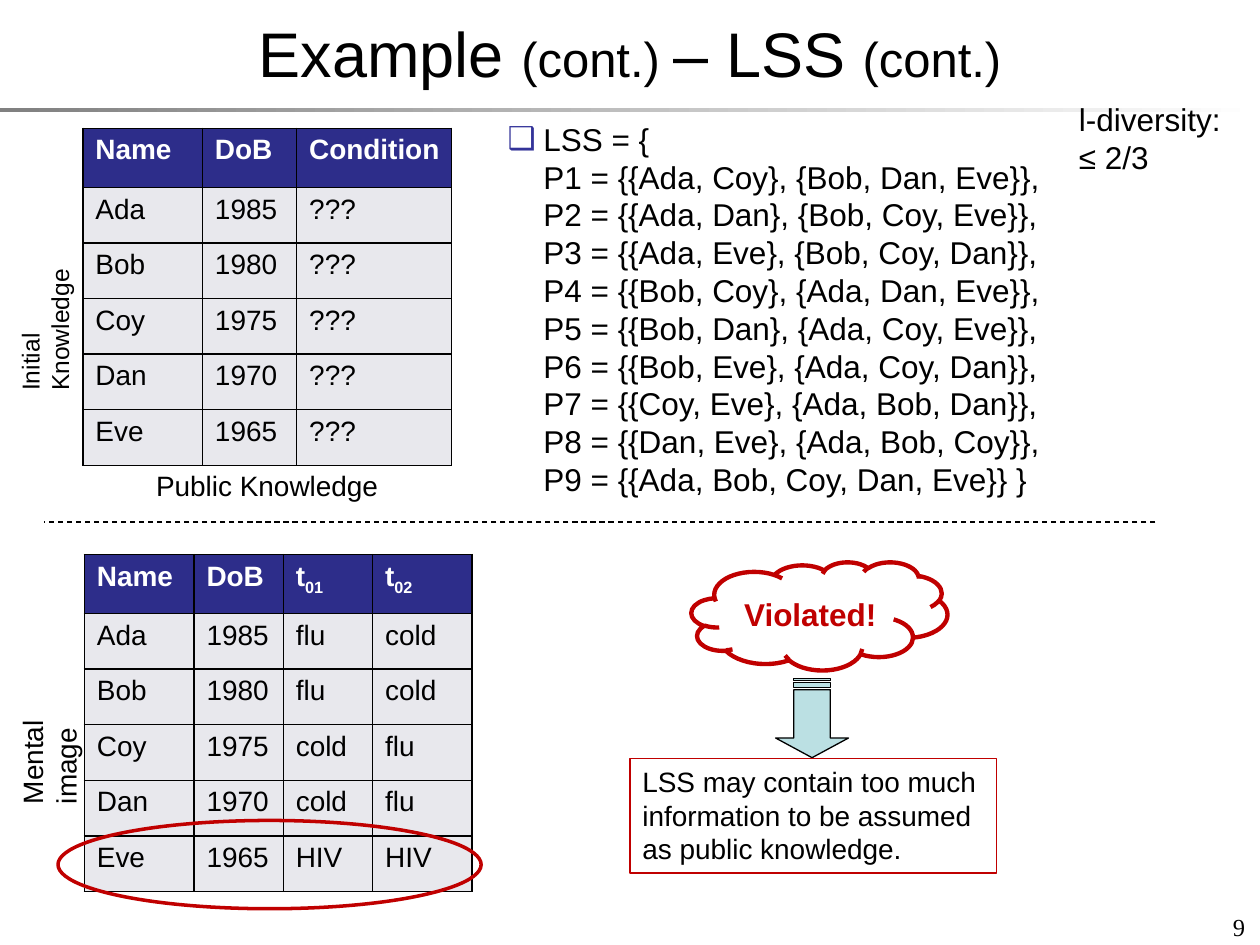
from lxml import etree
from pptx import Presentation
from pptx.dml.color import RGBColor
from pptx.enum.dml import MSO_LINE
from pptx.enum.shapes import MSO_CONNECTOR, MSO_SHAPE
from pptx.enum.text import MSO_ANCHOR, MSO_AUTO_SIZE, PP_ALIGN
from pptx.oxml.ns import qn
from pptx.util import Cm, Pt

DASH = MSO_LINE.DASH
STRAIGHT = MSO_CONNECTOR.STRAIGHT
RECTANGLE, OVAL, CLOUD = MSO_SHAPE.RECTANGLE, MSO_SHAPE.OVAL, MSO_SHAPE.CLOUD
STRIPED_ARROW = MSO_SHAPE.STRIPED_RIGHT_ARROW
TOP, MIDDLE = MSO_ANCHOR.TOP, MSO_ANCHOR.MIDDLE
LEFT, CENTER, RIGHT = PP_ALIGN.LEFT, PP_ALIGN.CENTER, PP_ALIGN.RIGHT
NO_AUTOFIT = MSO_AUTO_SIZE.NONE

COLORS = {
    "text": "000000", "white": "FFFFFF", "gray": "808080", "header": "2D2D8A",
    "cell": "E8E8ED", "bullet": "333399", "alert": "C00000", "arrow": "BBE0E3",
}
PEOPLE = [("Ada", "1985"), ("Bob", "1980"), ("Coy", "1975"), ("Dan", "1970"), ("Eve", "1965")]
HEADER_HEIGHT, ROW_HEIGHT = 1.19, 1.12


def rgb(name):
    return RGBColor.from_string(COLORS[name])


def add_text(paragraph, text, size=16, color="text", bold=False, font="Arial",
             align=LEFT, subscript=False):
    paragraph.alignment = align
    run = paragraph.add_run()
    run.text = text
    run.font.size = Pt(size)
    run.font.bold = bold
    run.font.name = font
    run.font.color.rgb = rgb(color)
    if subscript:
        run.font._element.set("baseline", "-25000")


def add_textbox(slide, box, lines, vertical=False, anchor=TOP, **text_format):
    textbox = slide.shapes.add_textbox(*map(Cm, box))
    frame = textbox.text_frame
    frame.word_wrap = True
    frame.vertical_anchor = anchor
    if vertical:
        frame._txBody.bodyPr.set("vert", "vert270")
    for index, line in enumerate(lines):
        paragraph = frame.add_paragraph() if index else frame.paragraphs[0]
        add_text(paragraph, line, **text_format)
    return textbox


def add_figure(slide, kind, box, line=None, width=1, fill=None):
    shape = slide.shapes.add_shape(kind, *map(Cm, box))
    shape.shadow.inherit = False
    if fill:
        shape.fill.solid()
        shape.fill.fore_color.rgb = rgb(fill)
    else:
        shape.fill.background()
    if line:
        shape.line.color.rgb = rgb(line)
        shape.line.width = Pt(width)
    else:
        shape.line.fill.background()
    return shape


def set_borders(cell, visible_sides):
    properties = cell._tc.get_or_add_tcPr()
    for side in "LRTB":
        border = etree.SubElement(properties, qn(f"a:ln{side}"), w="12700")
        if side in visible_sides:
            fill = etree.SubElement(border, qn("a:solidFill"))
            etree.SubElement(fill, qn("a:srgbClr"), val=COLORS["text"])
        else:
            etree.SubElement(border, qn("a:noFill"))


def add_grid(slide, left, top, widths, rows, caption=None):
    heights = [HEADER_HEIGHT] + [ROW_HEIGHT] * (len(rows) - 1)
    if caption:
        heights.append(0.74)
    table = slide.shapes.add_table(len(heights), len(widths), Cm(left), Cm(top),
                                   Cm(sum(widths)), Cm(sum(heights))).table
    table.first_row = table.horz_banding = False
    for column, width in zip(table.columns, widths):
        column.width = Cm(width)
    for row, height in zip(table.rows, heights):
        row.height = Cm(height)
    for row_index, values in enumerate(rows):
        is_header = row_index == 0
        for column_index, value in enumerate(values):
            cell = table.cell(row_index, column_index)
            cell.margin_right = Cm(0.15)
            set_borders(cell, "LRTB")
            cell.fill.solid()
            cell.fill.fore_color.rgb = rgb("header" if is_header else "cell")
            base, _, index = value.partition("_")
            style = {"color": "white" if is_header else "text", "bold": is_header}
            add_text(cell.text_frame.paragraphs[0], base, **style)
            if index:
                add_text(cell.text_frame.paragraphs[0], index, subscript=True, **style)
    if caption:
        last = len(rows)
        for column_index in range(len(widths)):
            cell = table.cell(last, column_index)
            set_borders(cell, "T")
            cell.fill.background()
        cell = table.cell(last, 0)
        cell.merge(table.cell(last, len(widths) - 1))
        cell.vertical_anchor = MIDDLE
        add_text(cell.text_frame.paragraphs[0], caption, align=CENTER)


def place(shape, box):
    shape.left, shape.top, shape.width, shape.height = map(Cm, box)


def build_title(slide, box):
    left, top, width, height = box
    title = slide.shapes.title
    place(title, box)
    title.text_frame.vertical_anchor = MIDDLE
    title.text_frame.auto_size = NO_AUTOFIT
    for text, size in [("Example ", 36), ("(cont.) ", 28), ("– LSS ", 36), ("(cont.)", 28)]:
        add_text(title.text_frame.paragraphs[0], text, size=size, align=CENTER)
    bar = add_figure(slide, RECTANGLE, (left, top + height + 0.08, width, 0.08))
    bar.fill.gradient()
    bar.fill.gradient_angle = 0
    for stop, color in zip(bar.fill.gradient_stops, ("gray", "white")):
        stop.color.rgb = rgb(color)


def build_partitions(slide, box):
    body = slide.placeholders[1]
    place(body, box)
    frame = body.text_frame
    frame.auto_size = NO_AUTOFIT
    pairs = ["Ada, Coy}, {Bob, Dan, Eve", "Ada, Dan}, {Bob, Coy, Eve",
             "Ada, Eve}, {Bob, Coy, Dan", "Bob, Coy}, {Ada, Dan, Eve",
             "Bob, Dan}, {Ada, Coy, Eve", "Bob, Eve}, {Ada, Coy, Dan",
             "Coy, Eve}, {Ada, Bob, Dan", "Dan, Eve}, {Ada, Bob, Coy"]
    lines = ["LSS = {"]
    lines += [f"P{number} = {{{{{pair}}}}}," for number, pair in enumerate(pairs, 1)]
    lines.append("P9 = {{Ada, Bob, Coy, Dan, Eve}} }")
    for index, line in enumerate(lines):
        paragraph = frame.add_paragraph() if index else frame.paragraphs[0]
        add_text(paragraph, line, size=18)
        paragraph.space_before = Pt(0)
        properties = paragraph._p.get_or_add_pPr()
        properties.set("marL", str(Cm(1.4)))
        properties.set("indent", str(0 if index else Cm(-0.72)))
        if index:
            etree.SubElement(properties, qn("a:buNone"))
        else:
            color = etree.SubElement(properties, qn("a:buClr"))
            etree.SubElement(color, qn("a:srgbClr"), val=COLORS["bullet"])
            etree.SubElement(properties, qn("a:buChar"), char="❑")


def build_public_knowledge(slide, left, top):
    rows = [("Name", "DoB", "Condition")] + [(*person, "???") for person in PEOPLE]
    add_grid(slide, left + 1.49, top, [2.41, 1.9, 3.12], rows, "Public Knowledge")
    add_textbox(slide, (left, top + 1.35, 1.12, 4.19), ["Initial Knowledge"],
                vertical=True, size=14)


def build_mental_image(slide, left, top):
    conditions = [("flu", "cold")] * 2 + [("cold", "flu")] * 2 + [("HIV", "HIV")]
    rows = [("Name", "DoB", "t_01", "t_02")]
    rows += [person + condition for person, condition in zip(PEOPLE, conditions)]
    add_grid(slide, left + 1.52, top, [2.21, 1.8, 1.8, 2.01], rows)
    add_textbox(slide, (left, top + 1.52, 1.19, 3.76), ["Mental image"], vertical=True)
    add_figure(slide, OVAL, (left + 0.99, top + 5.36, 8.53, 1.78), "alert", 2)


def build_conclusion(slide, left, top):
    cloud = add_figure(slide, CLOUD, (left + 1.24, top, 5.16, 2.18), "alert", 2.5)
    cloud.text_frame.vertical_anchor = MIDDLE
    add_text(cloud.text_frame.paragraphs[0], "Violated!", size=18, color="alert",
             bold=True, align=CENTER)
    arrow = add_figure(slide, STRIPED_ARROW, (left + 2.87, top + 2.41, 1.6, 1.47),
                       "text", 0.75, "arrow")
    arrow.adjustments[0], arrow.adjustments[1] = 0.5, 0.27
    arrow.rotation = 90
    note = add_figure(slide, RECTANGLE, (left, top + 3.96, 7.39, 2.31), "alert")
    note.text_frame.word_wrap = True
    note.text_frame.vertical_anchor = TOP
    add_text(note.text_frame.paragraphs[0],
             "LSS may contain too much information to be assumed as public knowledge.")


def build_divider(slide, left, top, width):
    divider = slide.shapes.add_connector(STRAIGHT, Cm(left + width), Cm(top), Cm(left), Cm(top))
    divider.line.color.rgb = rgb("text")
    divider.line.width = Pt(0.75)
    divider.line.dash_style = DASH
    etree.SubElement(divider._element.spPr, qn("a:effectLst"))


def main():
    presentation = Presentation()
    presentation.slide_width, presentation.slide_height = Cm(25.4), Cm(19.05)
    slide = presentation.slides.add_slide(presentation.slide_layouts[1])
    build_title(slide, (0, 0, 25.4, 2.1))
    build_public_knowledge(slide, 0.18, 2.59)
    build_partitions(slide, (9.3, 2.29, 12.19, 8.03))
    diversity = add_textbox(slide, (22.17, 1.22, 2.06, 3.4), ["l-diversity:", "≤ 2/3"],
                            vertical=True, size=18)
    diversity.rotation = 90
    build_divider(slide, 0.89, 10.52, 22.4)
    build_mental_image(slide, 0.18, 11.18)
    build_conclusion(slide, 12.7, 11.33)
    add_textbox(slide, (19.43, 18.24, 5.92, 0.89), ["9"], anchor=MIDDLE, size=14,
                font="Times New Roman", align=RIGHT)
    presentation.save("out.pptx")


if __name__ == "__main__":
    main()
